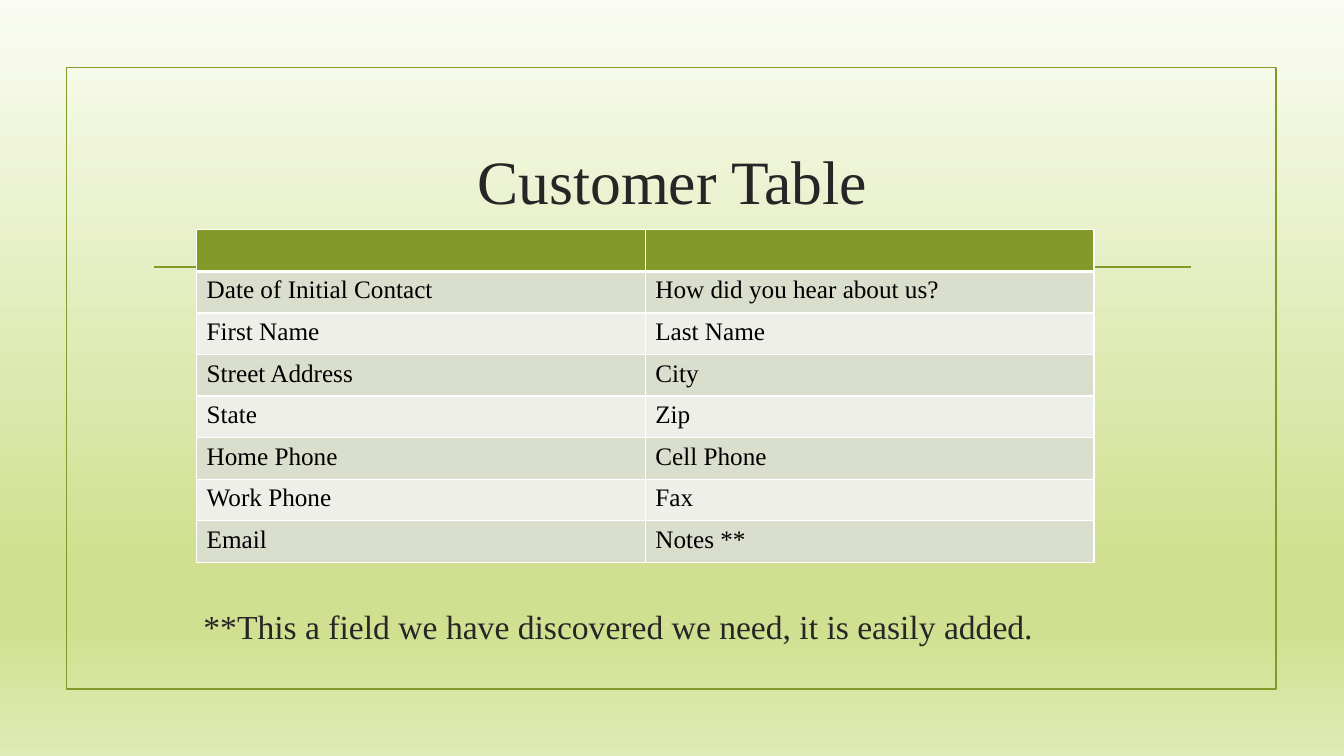
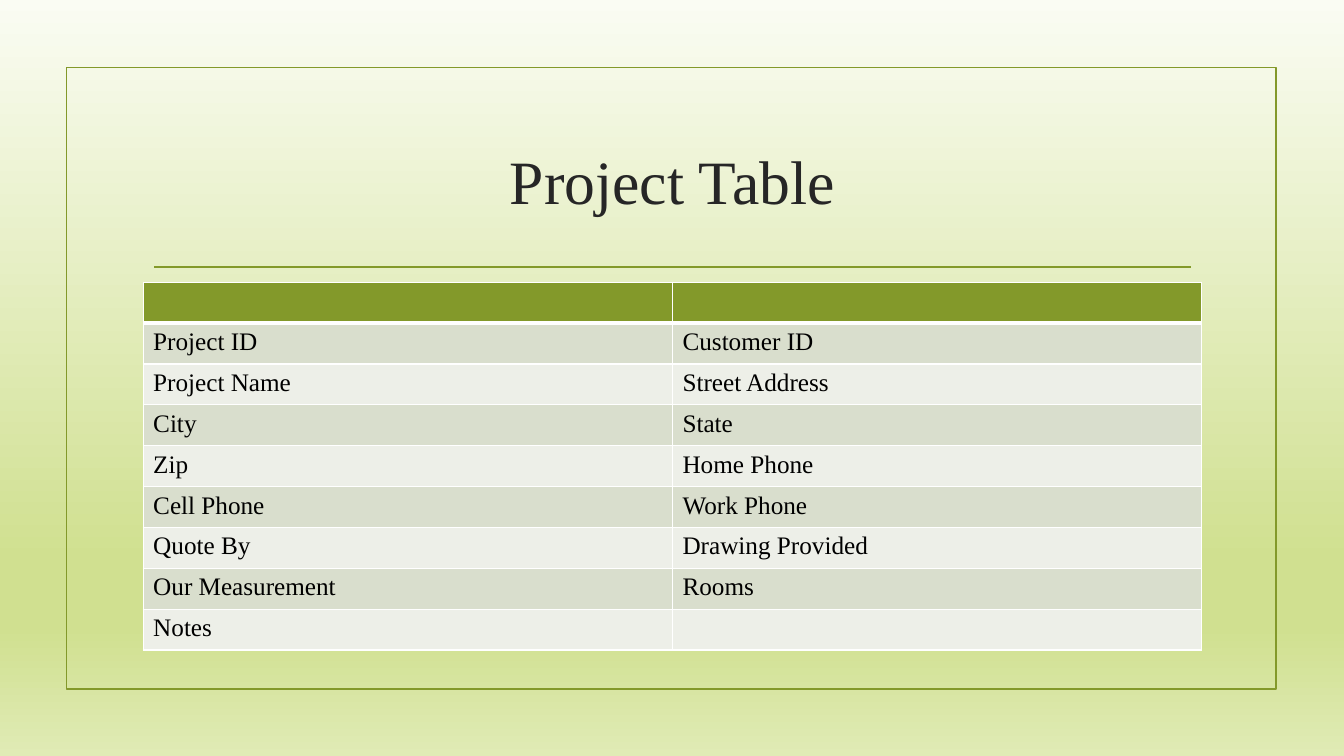
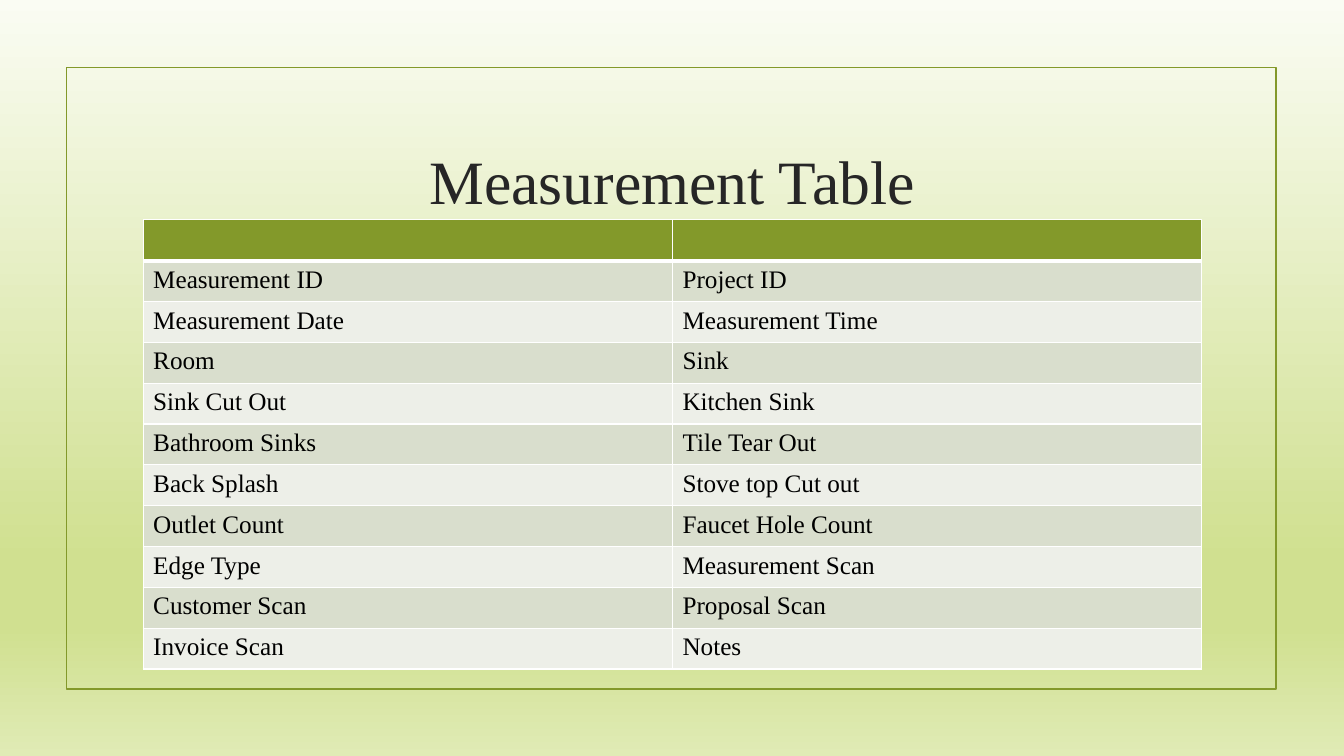
from lxml import etree
from pptx import Presentation
from pptx.dml.color import RGBColor
from pptx.enum.shapes import MSO_CONNECTOR, MSO_SHAPE
from pptx.enum.text import MSO_ANCHOR, PP_ALIGN
from pptx.oxml.ns import qn
from pptx.util import Inches, Pt

RECTANGLE = MSO_SHAPE.RECTANGLE
STRAIGHT = MSO_CONNECTOR.STRAIGHT
MIDDLE, TOP = MSO_ANCHOR.MIDDLE, MSO_ANCHOR.TOP
CENTER, LEFT = PP_ALIGN.CENTER, PP_ALIGN.LEFT

WIDTH, HEIGHT = Inches(13.33), Inches(7.5)
FONT = "Times New Roman"
OLIVE, INK, BLACK, WHITE = "83992A", "262626", "000000", "FFFFFF"
BANDS = ("D9DECD", "EDEFE8")
BACKGROUND_STOPS = ((0, "FAFCF3"), (74, "D0E090"), (83, "D0E090"), (100, "E0EBB5"))
LINE_WEIGHT = 1.25
GRID_WEIGHT, HEADER_WEIGHT = 1, 3

CONTENT_LEFT, CONTENT_WIDTH = 10.65, 78.77
FRAME_AREA = (4.95, 8.93, 90, 82.27)
RULE_LEFT, RULE_RIGHT, RULE_TOP = 11.48, 88.6, 35.33
TITLE_AREA = (CONTENT_LEFT, 14.27, CONTENT_WIDTH, 19.07)
NOTE_AREA = (14.4, 79.47, 75, 6.5)

CUSTOMER_AREA = (14.63, 30.4, 66.77, 44)
CUSTOMER_FIELDS = (
    ("Date of Initial Contact", "How did you hear about us?"),
    ("First Name", "Last Name"),
    ("Street Address", "City"),
    ("State", "Zip"),
    ("Home Phone", "Cell Phone"),
    ("Work Phone", "Fax"),
    ("Email", "Notes **"),
)
CUSTOMER_NOTE = "**This a field we have discovered we need, it is easily added."

PROJECT_AREA = (CONTENT_LEFT, 37.33, CONTENT_WIDTH, 48.67)
PROJECT_FIELDS = (
    ("Project ID", "Customer ID"),
    ("Project Name", "Street Address"),
    ("City", "State"),
    ("Zip", "Home Phone"),
    ("Cell Phone", "Work Phone"),
    ("Quote By", "Drawing Provided"),
    ("Our Measurement", "Rooms"),
    ("Notes", ""),
)

MEASUREMENT_AREA = (CONTENT_LEFT, 29.07, CONTENT_WIDTH, 59.47)
MEASUREMENT_FIELDS = (
    ("Measurement ID", "Project ID"),
    ("Measurement Date", "Measurement Time"),
    ("Room", "Sink"),
    ("Sink Cut Out", "Kitchen Sink"),
    ("Bathroom Sinks", "Tile Tear Out"),
    ("Back Splash", "Stove top Cut out"),
    ("Outlet Count", "Faucet Hole Count"),
    ("Edge Type", "Measurement Scan"),
    ("Customer Scan", "Proposal Scan"),
    ("Invoice Scan", "Notes"),
)


def color(value):
    """Turn a hex string into a colour."""
    return RGBColor.from_string(value)


def across(percent):
    """Return a share of the slide's width."""
    return round(WIDTH * percent / 100)


def down(percent):
    """Return a share of the slide's height."""
    return round(HEIGHT * percent / 100)


def place(area):
    """Turn percentages into left, top, width and height."""
    left, top, width, height = area
    return across(left), down(top), across(width), down(height)


def write(frame, text, size, ink, align=LEFT):
    """Put one styled paragraph into a text frame."""
    frame.text = text
    para = frame.paragraphs[0]
    para.alignment = align
    for span in para.runs:
        span.font.name = FONT
        span.font.size = Pt(size)
        span.font.color.rgb = color(ink)


def add_solid_fill(parent, value):
    """Append a solid colour to a drawing element."""
    fill = etree.SubElement(parent, qn("a:solidFill"))
    etree.SubElement(fill, qn("a:srgbClr"), val=value)


def paint_background(master):
    """Give every slide the shared vertical gradient."""
    fill = master.background.fill
    fill.gradient()
    fill.gradient_angle = 270
    stops = next(master.element.iter(qn("a:gsLst")))
    for stop in list(stops):
        stops.remove(stop)
    for percent, value in BACKGROUND_STOPS:
        stop = etree.SubElement(stops, qn("a:gs"), pos=str(percent * 1000))
        etree.SubElement(stop, qn("a:srgbClr"), val=value)


def style_line(line):
    """Apply the shared outline."""
    line.color.rgb = color(OLIVE)
    line.width = Pt(LINE_WEIGHT)


def add_frame(page):
    """Draw the border of the page."""
    box = page.shapes.add_shape(RECTANGLE, *place(FRAME_AREA))
    box.shadow.inherit = False
    box.fill.background()
    style_line(box.line)


def add_rule(page):
    """Draw the line under the title."""
    rule = page.shapes.add_connector(
        STRAIGHT, across(RULE_LEFT), down(RULE_TOP), across(RULE_RIGHT), down(RULE_TOP)
    )
    style_line(rule.line)
    etree.SubElement(rule.element.spPr, qn("a:effectLst"))


def add_page(deck, title):
    """Add a framed page with its title."""
    page = deck.slides.add_slide(deck.slide_layouts[5])
    add_frame(page)
    add_rule(page)
    box = page.shapes.title
    box.left, box.top, box.width, box.height = place(TITLE_AREA)
    write(box.text_frame, title, 44, INK, CENTER)
    box.text_frame.vertical_anchor = MIDDLE
    return page


def set_borders(cell, top, bottom):
    """Draw white borders with the given top and bottom weights."""
    properties = cell._tc.get_or_add_tcPr()
    weights = {"L": GRID_WEIGHT, "R": GRID_WEIGHT, "T": top, "B": bottom}
    for side, weight in weights.items():
        edge = etree.SubElement(properties, qn(f"a:ln{side}"), w=str(Pt(weight)))
        add_solid_fill(edge, WHITE)


def add_field_table(page, fields, area):
    """Add a banded two-column table under an empty header."""
    rows = (("", ""),) + fields
    table = page.shapes.add_table(len(rows), 2, *place(area)).table
    for index, row in enumerate(rows):
        fill = BANDS[(index - 1) % 2] if index else OLIVE
        top = HEADER_WEIGHT if index == 1 else GRID_WEIGHT
        bottom = HEADER_WEIGHT if index == 0 else GRID_WEIGHT
        for column, text in enumerate(row):
            cell = table.cell(index, column)
            set_borders(cell, top, bottom)
            cell.fill.solid()
            cell.fill.fore_color.rgb = color(fill)
            write(cell.text_frame, text, 18, BLACK)


def add_note(page, text):
    """Add the remark below the table."""
    frame = page.shapes.add_textbox(*place(NOTE_AREA)).text_frame
    frame.word_wrap = True
    frame.vertical_anchor = TOP
    write(frame, text, 24, INK)


def main():
    """Build the three table pages."""
    deck = Presentation()
    deck.slide_width, deck.slide_height = WIDTH, HEIGHT
    paint_background(deck.slide_master)

    customer = add_page(deck, "Customer Table")
    add_note(customer, CUSTOMER_NOTE)
    add_field_table(customer, CUSTOMER_FIELDS, CUSTOMER_AREA)

    project = add_page(deck, "Project Table")
    add_field_table(project, PROJECT_FIELDS, PROJECT_AREA)

    measurement = add_page(deck, "Measurement Table")
    add_field_table(measurement, MEASUREMENT_FIELDS, MEASUREMENT_AREA)

    deck.save("out.pptx")


if __name__ == "__main__":
    main()
